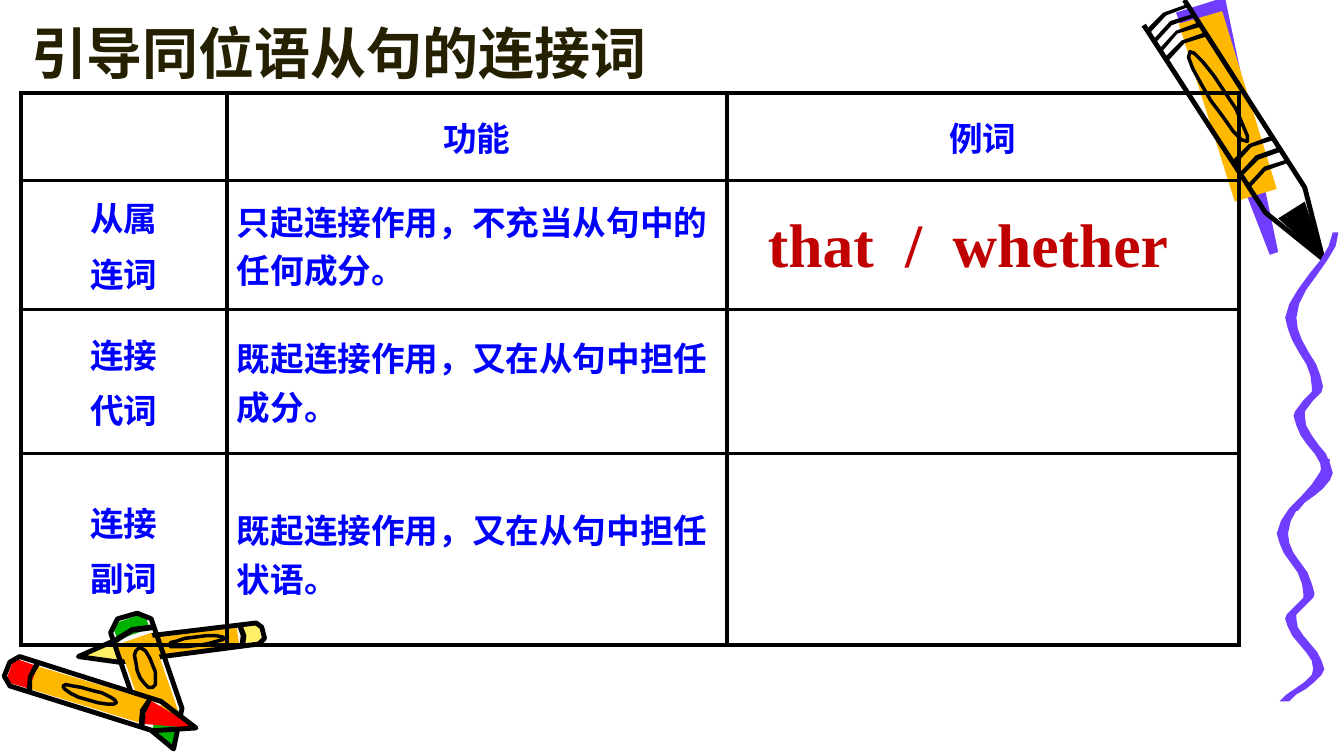
"""Build the slide on connecting words for appositive clauses, with crayon artwork."""
import math
from dataclasses import dataclass

from lxml import etree
from pptx import Presentation
from pptx import util as u
from pptx.dml.color import RGBColor
from pptx.enum import text
from pptx.oxml import ns

BLACK = RGBColor(0x00, 0x00, 0x00)
WHITE = RGBColor(0xF8, 0xF8, 0xF8)
PURPLE = RGBColor(0x70, 0x3D, 0xFF)
ORANGE = RGBColor(0xFF, 0xB8, 0x00)
YELLOW = RGBColor(0xFF, 0xEF, 0x66)
GREEN = RGBColor(0x00, 0xB2, 0x00)
RED = RGBColor(0xFF, 0x00, 0x00)
BLUE = RGBColor(0x00, 0x00, 0xFF)
OLIVE = RGBColor(0x24, 0x20, 0x00)
CRIMSON = RGBColor(0xC0, 0x00, 0x00)

SERIF = "Times New Roman"
SANS = "DejaVu Sans"

COLUMN_WIDTHS = [146.88, 357.12, 365.76]
ROW_HEIGHTS = [62.64, 92.16, 102.96, 136.8]
ROWS = [
    ["", "功能", "例词"],
    ["从属\n连词", "只起连接作用，不充当从句中的任何成分。", ""],
    ["连接\n代词", "既起连接作用，又在从句中担任成分。", ""],
    ["连接\n副词", "既起连接作用，又在从句中担任状语。", ""],
]


@dataclass
class Band:
    """A stretch of colour along a crayon; sides are shares of its half width."""
    start: float
    end: float
    colour: RGBColor
    left: float = 0.8
    right: float = -0.8


@dataclass
class Crayon:
    """A crayon lying from tail to tip, measured in points along its axis."""
    tail: tuple
    tip: tuple
    half_width: float
    cone_start: float
    bands: tuple
    rings: tuple = ()
    ring_width: float = 4
    grain: tuple = ()
    inked: bool = True
    open_tail: bool = False

    def length(self):
        """Return the distance from tail to tip."""
        return math.dist(self.tail, self.tip)

    def half_at(self, along):
        """Return the half width, which shrinks to nothing over the cone."""
        cone_length = self.length() - self.cone_start
        return self.half_width * min(1, (self.length() - along) / cone_length)

    def locate(self, along, across):
        """Turn a place on the crayon into a place on the page."""
        step_x = (self.tip[0] - self.tail[0]) / self.length()
        step_y = (self.tip[1] - self.tail[1]) / self.length()
        return (self.tail[0] + along * step_x - across * step_y,
                self.tail[1] + along * step_y + across * step_x)


GREEN_CRAYON = Crayon(
    tail=(91, 440), tip=(124, 535), half_width=15, cone_start=75,
    bands=(Band(0, 75, WHITE), Band(2, 14, GREEN), Band(17, 75, ORANGE), Band(75, 100, GREEN)),
    rings=(12,), grain=(24, 54, 6))
YELLOW_CRAYON = Crayon(
    tail=(188, 452), tip=(56, 469), half_width=8, cone_start=105,
    bands=(Band(0, 105, WHITE), Band(2, 16, YELLOW), Band(18, 105, ORANGE),
           Band(105, 130, YELLOW)),
    rings=(14,), grain=(28, 68, 3))
RED_CRAYON = Crayon(
    tail=(5, 478), tip=(140, 520), half_width=11, cone_start=112,
    bands=(Band(0, 112, WHITE), Band(2, 20, RED), Band(20, 104, ORANGE), Band(104, 138, RED)),
    rings=(18, 102), grain=(42, 82, 4))
PENCIL_COLOUR = Crayon(
    tail=(855, 4), tip=(911, 185), half_width=16, cone_start=165, inked=False,
    bands=(Band(0, 185, PURPLE, 1, -1.3), Band(9, 142, ORANGE, 1, -1)))
PENCIL_INK = Crayon(
    tail=(827, 2), tip=(945, 185), half_width=17, cone_start=168, open_tail=True,
    bands=(Band(176, 214, BLACK),),
    rings=(12, 20, 28, 36, 124, 134, 144), ring_width=3, grain=(42, 118, 6))

SQUIGGLE_TURNS = [(952, 166), (922, 227), (941, 276), (928, 297), (948, 338), (922, 370)]


def add_outline(page, corners, colour=None, ink=0, close=True):
    """Draw an outline through corners, filled with a colour or inked in black."""
    builder = page.shapes.build_freeform(*corners[0], scale=u.Pt(1))
    builder.add_line_segments(corners[1:], close=close)
    outline = builder.convert_to_shape()
    outline.shadow.inherit = False
    if colour is None:
        outline.fill.background()
    else:
        outline.fill.solid()
        outline.fill.fore_color.rgb = colour
    if ink:
        outline.line.color.rgb = BLACK
        outline.line.width = u.Pt(ink)
    else:
        outline.line.fill.background()


def add_band(page, crayon, band):
    """Colour one stretch of a crayon."""
    near, far = crayon.half_at(band.start), crayon.half_at(band.end)
    places = [(band.start, near * band.left), (band.end, far * band.left),
              (band.end, far * band.right), (band.start, near * band.right)]
    add_outline(page, [crayon.locate(*place) for place in places], band.colour)


def add_ring(page, crayon, start):
    """Draw a bent black ring around a crayon."""
    side, bow, end = crayon.half_width, crayon.half_width / 4, start + crayon.ring_width
    places = [(start, side), (start - bow, 0), (start, -side),
              (end, -side), (end - bow, 0), (end, side)]
    add_outline(page, [crayon.locate(*place) for place in places], BLACK)


def add_grain(page, crayon, start, end, half):
    """Draw the lens-shaped wood grain on a crayon."""
    steps = 16
    places = []
    for step in range(steps):
        angle = math.tau * step / steps
        along = (start + end) / 2 - (end - start) / 2 * math.cos(angle)
        places.append((along, half * math.sin(angle)))
    add_outline(page, [crayon.locate(*place) for place in places], ink=2.5)


def add_crayon(page, crayon):
    """Draw a crayon: colours first, then its black edges, rings and grain."""
    for band in crayon.bands:
        add_band(page, crayon, band)
    if crayon.inked:
        side, chamfer = crayon.half_width, crayon.half_width / 2
        edge = [(0, chamfer), (chamfer, side), (crayon.cone_start, side), (crayon.length(), 0),
                (crayon.cone_start, -side), (chamfer, -side), (0, -chamfer)]
        if crayon.open_tail:
            edge = edge[1:-1]
        corners = [crayon.locate(*place) for place in edge]
        add_outline(page, corners, ink=3.5, close=not crayon.open_tail)
    for start in crayon.rings:
        add_ring(page, crayon, start)
    if crayon.grain:
        add_grain(page, crayon, *crayon.grain)


def add_squiggle(page, top, shift, stretch):
    """Draw a ribbon that swings smoothly from turn to turn."""
    steps, half = 6, 3.6
    first_y = SQUIGGLE_TURNS[0][1]
    middle = []
    for (from_x, from_y), (to_x, to_y) in zip(SQUIGGLE_TURNS, SQUIGGLE_TURNS[1:]):
        for step in range(steps):
            share = step / steps
            swing = (1 - math.cos(math.pi * share)) / 2
            drop = from_y + (to_y - from_y) * share - first_y
            middle.append((from_x + (to_x - from_x) * swing + shift, top + drop * stretch))
    left = [(x - half * min(1, index / steps), y) for index, (x, y) in enumerate(middle)]
    right = [(x + half, y) for x, y in middle]
    add_outline(page, left + right[::-1], PURPLE)


def style_paragraph(para, font_name, size, colour):
    """Make every run of a paragraph bold in the given font."""
    for span in para.runs:
        span.font.name = font_name
        span.font.size = u.Pt(size)
        span.font.bold = True
        span.font.color.rgb = colour


def add_label(page, place, wording, size, colour, tabs=()):
    """Add a one-line text box, with optional tab stops in points."""
    box = page.shapes.add_textbox(*map(u.Pt, place))
    frame = box.text_frame
    frame.word_wrap = True
    frame.auto_size = text.MSO_AUTO_SIZE.SHAPE_TO_FIT_TEXT
    frame.text = wording
    para = frame.paragraphs[0]
    if tabs:
        stops = etree.SubElement(para._p.get_or_add_pPr(), ns.qn("a:tabLst"))
        for stop in tabs:
            etree.SubElement(stops, ns.qn("a:tab"), pos=str(u.Pt(stop)), algn="l")
    style_paragraph(para, SERIF, size, colour)


def add_borders(cell):
    """Give a cell black borders on all four sides."""
    properties = cell._tc.get_or_add_tcPr()
    for side in ("lnL", "lnR", "lnT", "lnB"):
        border = etree.SubElement(properties, ns.qn(f"a:{side}"), w=str(u.Pt(3)))
        fill = etree.SubElement(border, ns.qn("a:solidFill"))
        etree.SubElement(fill, ns.qn("a:srgbClr"), val=str(BLACK))


def fill_cell(cell, wording, centred):
    """Write and style the text of one table cell."""
    add_borders(cell)
    cell.fill.background()
    cell.vertical_anchor = text.MSO_ANCHOR.MIDDLE
    cell.text_frame.text = wording
    for index, para in enumerate(cell.text_frame.paragraphs):
        para.alignment = text.PP_ALIGN.CENTER if centred else text.PP_ALIGN.LEFT
        if index:
            para.space_before = u.Pt(4.8)
        style_paragraph(para, SANS, 24, BLUE)


def add_word_table(page):
    """Add the table of connecting words and their functions."""
    place = (15.12, 66.24, sum(COLUMN_WIDTHS), sum(ROW_HEIGHTS))
    table = page.shapes.add_table(len(ROWS), len(COLUMN_WIDTHS), *map(u.Pt, place)).table
    table.first_row = table.horz_banding = False
    for column, width in zip(table.columns, COLUMN_WIDTHS):
        column.width = u.Pt(width)
    for row_index, (row, height) in enumerate(zip(table.rows, ROW_HEIGHTS)):
        row.height = u.Pt(height)
        for column_index, wording in enumerate(ROWS[row_index]):
            fill_cell(row.cells[column_index], wording, row_index == 0 or column_index == 0)
    table.cell(3, 1).margin_top = u.Pt(9)


def main():
    """Build and save the slide."""
    deck = Presentation()
    deck.slide_width, deck.slide_height = u.Pt(960), u.Pt(540)
    page = deck.slides.add_slide(deck.slide_layouts[6])
    for crayon in (YELLOW_CRAYON, GREEN_CRAYON, RED_CRAYON, PENCIL_COLOUR, PENCIL_INK):
        add_crayon(page, crayon)
    add_squiggle(page, top=166, shift=0, stretch=1)
    add_squiggle(page, top=328, shift=-6, stretch=0.87)
    add_label(page, (15.12, 9.36, 559.44, 55.44), "引导同位语从句的连接词", 40, OLIVE)
    add_word_table(page)
    add_label(page, (541.44, 143.28, 446.4, 60.48), "that\t/\twhether", 44, CRIMSON, (98, 132))
    deck.save("out.pptx")


if __name__ == "__main__":
    main()
